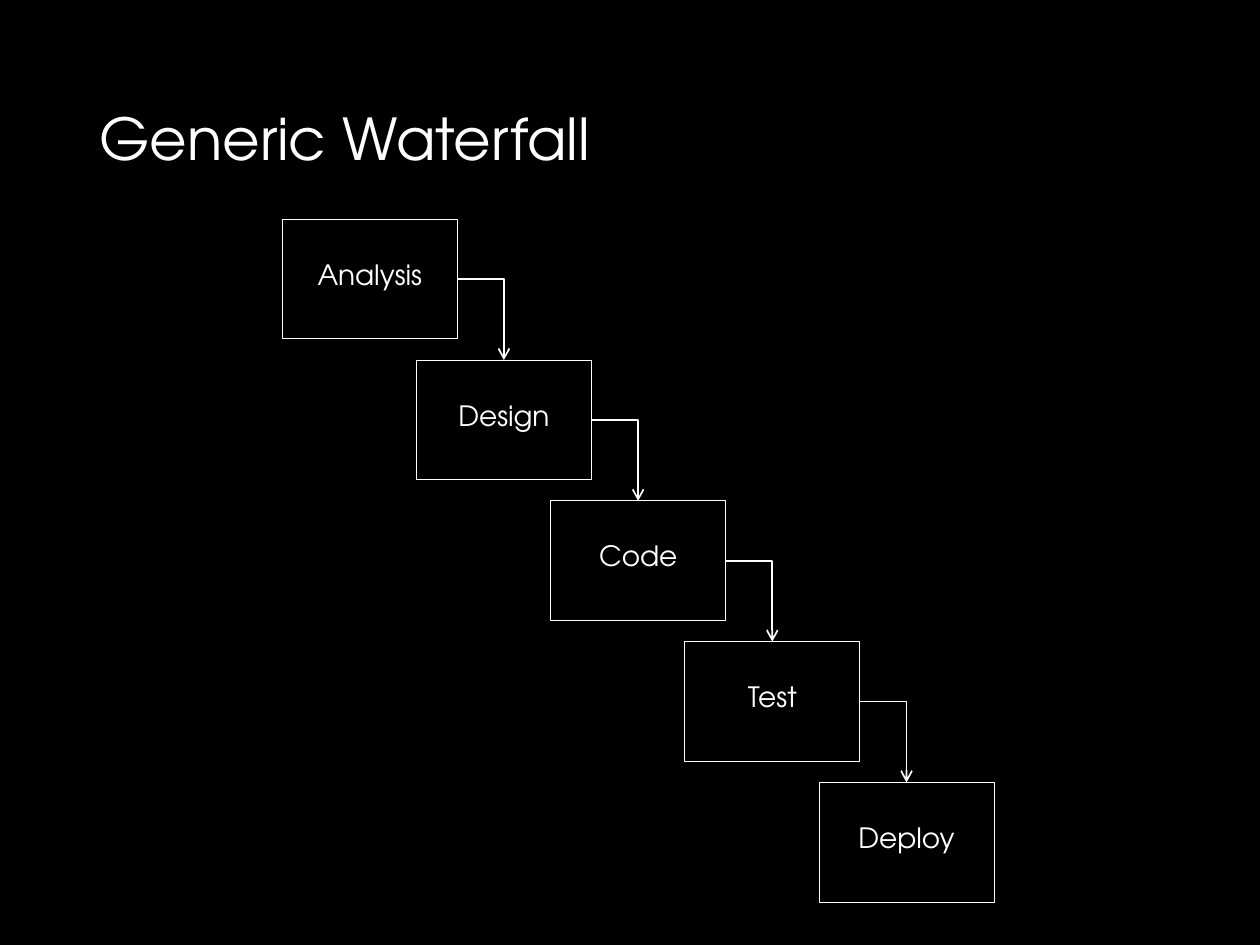
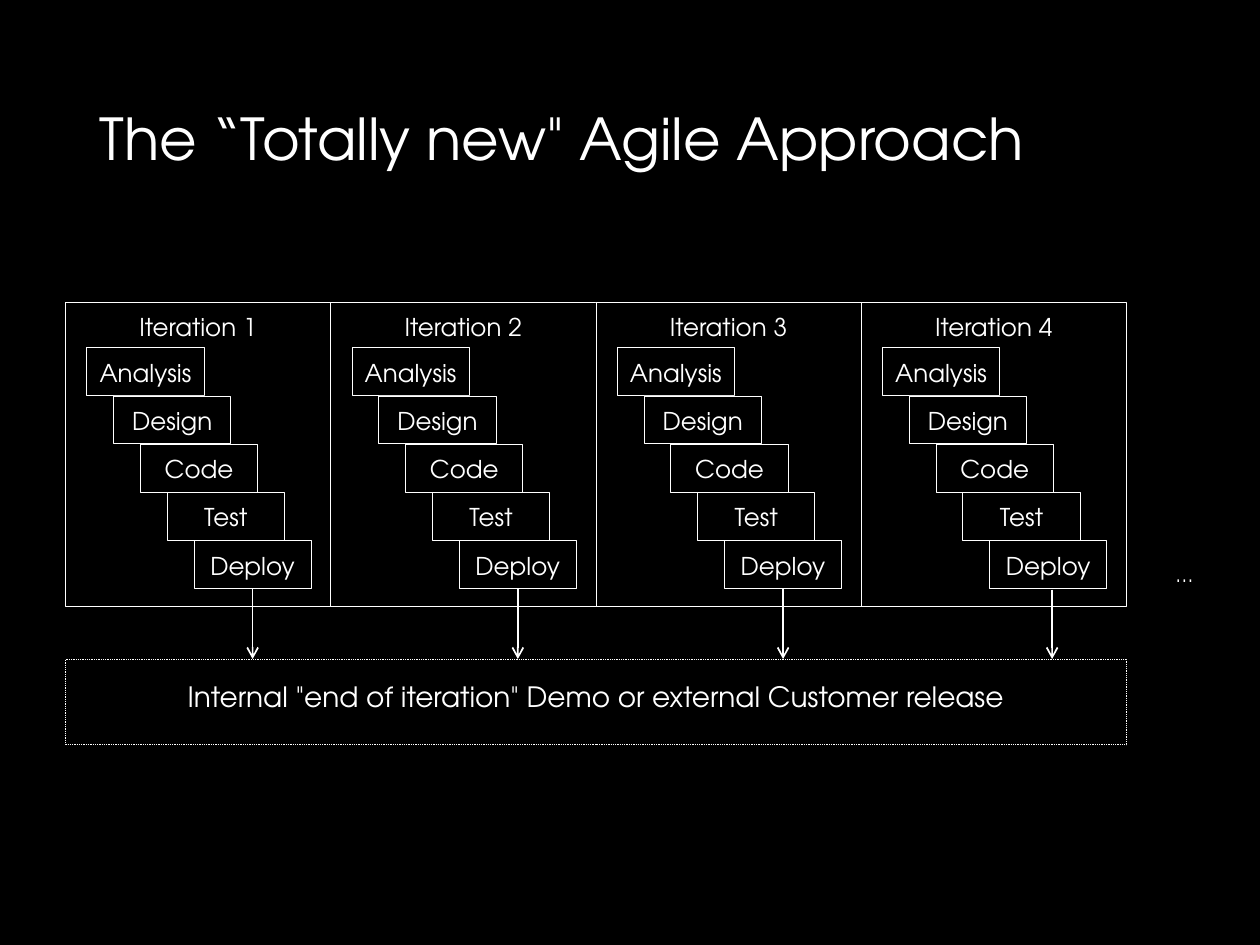
from lxml import etree
from pptx import Presentation
from pptx.dml import color
from pptx.enum import dml, shapes, text
from pptx.oxml import ns
from pptx.util import Inches, Pt

COLOURS = {"background": "000000", "ink": "FFFFFF"}
FONT = "TeX Gyre Adventor"
STAGES = ["Analysis", "Design", "Code", "Test", "Deploy"]
WIDE_INSETS = (0.1, 0, 0.1, 0.08)
TIGHT_INSETS = (0.04, 0.08, 0.04, 0.08)
MIDDLE = text.MSO_ANCHOR.MIDDLE
TOP = text.MSO_ANCHOR.TOP
LEFT_SIDE, BOTTOM_SIDE, RIGHT_SIDE, TOP_SIDE = 1, 2, 3, 0


def rgb(name):
    return color.RGBColor.from_string(COLOURS[name])


def write(frame, words, size, align):
    frame.text = words
    para = frame.paragraphs[0]
    para.alignment = align
    font = para.runs[0].font
    font.name = FONT
    font.size = Pt(size)
    font.color.rgb = rgb("ink")
    return para


def add_page(deck, title):
    page = deck.slides.add_slide(deck.slide_layouts[5])
    page.background.fill.solid()
    page.background.fill.fore_color.rgb = rgb("background")

    box = page.shapes.title
    box.left, box.top, box.width, box.height = map(Inches, (0.69, 0.4, 8.62, 1.45))
    frame = box.text_frame
    frame.auto_size = text.MSO_AUTO_SIZE.NONE
    frame.vertical_anchor = MIDDLE
    para = write(frame, title, 33, text.PP_ALIGN.LEFT)
    para.line_spacing = 0.9
    return page


def add_box(parent, words, place, size=16, insets=WIDE_INSETS, anchor=MIDDLE, outlined=True):
    box = parent.shapes.add_shape(shapes.MSO_SHAPE.RECTANGLE, *map(Inches, place))
    box.shadow.inherit = False
    box.fill.solid()
    box.fill.fore_color.rgb = rgb("background")
    if outlined:
        box.line.color.rgb = rgb("ink")
        box.line.width = Pt(0.5)
    else:
        box.line.fill.background()

    frame = box.text_frame
    frame.word_wrap = True
    frame.vertical_anchor = anchor
    (frame.margin_left, frame.margin_top,
     frame.margin_right, frame.margin_bottom) = map(Inches, insets)
    write(frame, words, size, text.PP_ALIGN.CENTER)
    return box


def add_stairs(parent, first, last, box_size, **style):
    """Place the stages in equal steps between two top left corners."""
    steps = len(STAGES) - 1
    boxes = []
    for index, stage in enumerate(STAGES):
        corner = [a + (b - a) * index / steps for a, b in zip(first, last)]
        boxes.append(add_box(parent, stage, (*corner, *box_size), **style))
    return boxes


def add_arrow(parent, kind, start=(0, 0), end=(0, 0)):
    arrow = parent.shapes.add_connector(kind, *map(Inches, (*start, *end)))
    arrow.line.color.rgb = rgb("ink")
    arrow.line.width = Pt(1)
    properties = arrow.line._get_or_add_ln()
    etree.SubElement(properties, ns.qn("a:tailEnd"), type="arrow")
    etree.SubElement(arrow._element.spPr, ns.qn("a:effectLst"))
    return arrow


def add_bent_arrow(parent, upper, lower):
    """Lead from the right side of one box down to the top of the next."""
    arrow = add_arrow(parent, shapes.MSO_CONNECTOR.ELBOW)
    arrow._element.spPr.find(ns.qn("a:prstGeom")).set("prst", "bentConnector2")
    arrow.begin_connect(upper, RIGHT_SIDE)
    arrow.end_connect(lower, TOP_SIDE)


def build_waterfall(deck):
    page = add_page(deck, "Generic Waterfall")
    group = page.shapes.add_group_shape()
    boxes = add_stairs(group, (2.24, 1.74), (6.5, 6.21), (1.39, 0.95))
    for upper, lower in zip(boxes, boxes[1:]):
        add_bent_arrow(group, upper, lower)


def build_agile(deck):
    page = add_page(deck, "The “Totally new\" Agile Approach")
    left, width, count = 0.52, 8.42, 4
    column = width / count
    style = {"size": 14, "insets": TIGHT_INSETS, "anchor": TOP}

    # Iterations, each with its own small waterfall
    deploys = []
    for index in range(count):
        start = left + index * column
        group = page.shapes.add_group_shape()
        add_box(group, f"Iteration {index + 1}", (start, 2.4, column, 2.41), **style)
        stairs = add_stairs(group, (start + 0.17, 2.76), (start + 1.02, 4.29),
                            (0.93, 0.38), **style)
        deploys.append(stairs[-1])

    # Shared release band and continuation mark
    release = add_box(page, 'Internal "end of iteration" Demo or external Customer release',
                      (left, 5.23, width, 0.68))
    release.line.dash_style = dml.MSO_LINE.ROUND_DOT
    add_box(page, "…", (9.06, 4.41, 0.68, 0.38), size=12, outlined=False)

    # Releases; the last arrow stands slightly right of its box's middle
    for deploy, x in zip(deploys, (2, 4.11, 6.21, 8.35)):
        arrow = add_arrow(page, shapes.MSO_CONNECTOR.STRAIGHT, (x, 4.68), (x, 5.23))
        if deploy is not deploys[-1]:
            arrow.begin_connect(deploy, BOTTOM_SIDE)
            arrow.end_x = arrow.begin_x


def main():
    deck = Presentation()
    deck.slide_width, deck.slide_height = Inches(10), Inches(7.5)
    build_waterfall(deck)
    build_agile(deck)
    deck.save("out.pptx")


if __name__ == "__main__":
    main()
